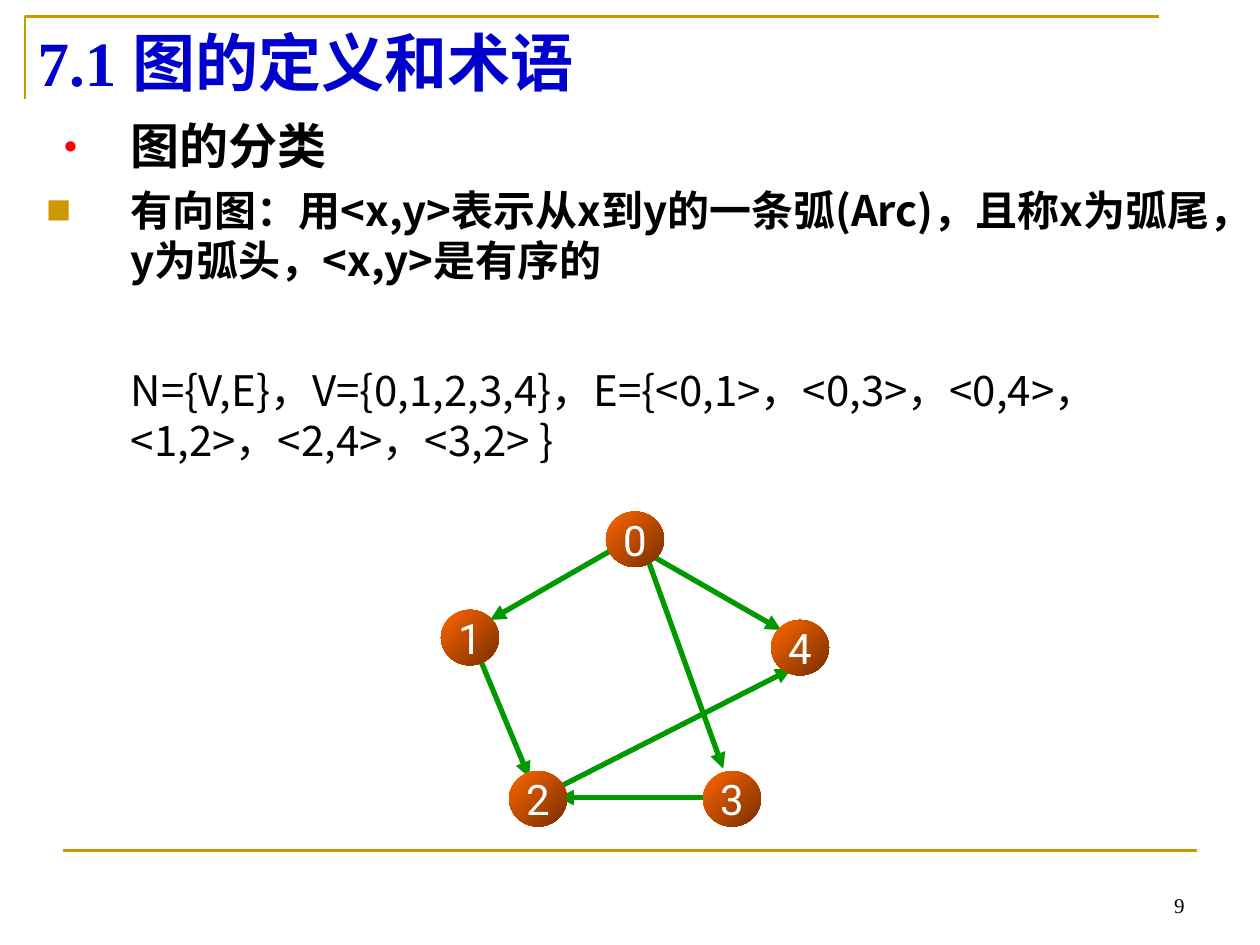
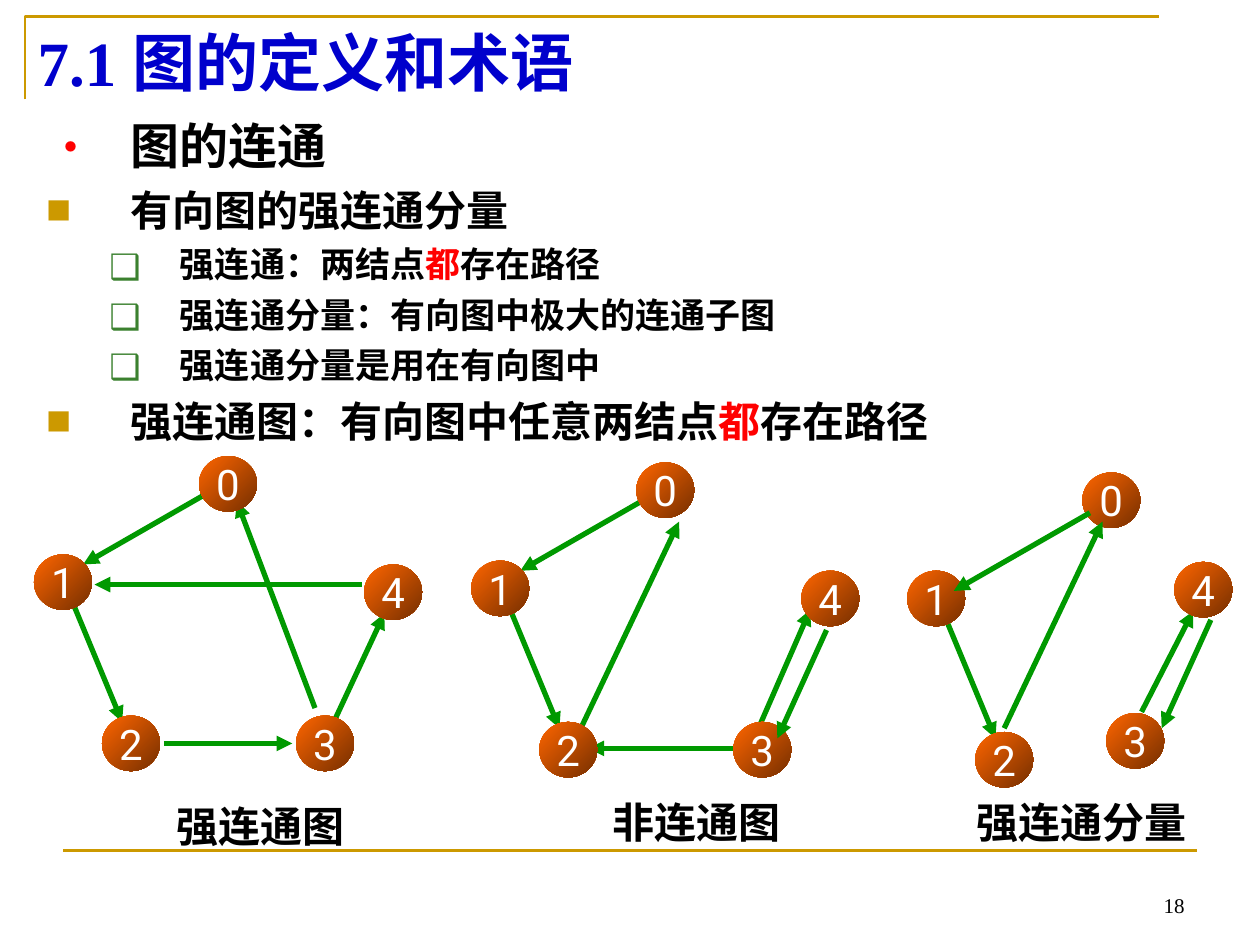
"""Build two slides on graph types and graph connectivity."""
from lxml.etree import SubElement as Sub
from pptx import Presentation
from pptx.dml.color import RGBColor
from pptx.enum.shapes import MSO_CONNECTOR as Link, MSO_SHAPE as Kind
from pptx.enum.text import MSO_ANCHOR as Anchor, PP_ALIGN as Align
from pptx.oxml.ns import qn
from pptx.util import Inches, Pt

hue = RGBColor.from_string
GOLD, GREEN, BLACK, RED = "CC9900", "009900", "000000", "FF0000"
CJK, ROMAN, SANS = "Noto Sans CJK SC", "Times New Roman", "Roboto"
TITLE = "7.1 图的定义和术语"
SIZE = 0.46, 0.44

# Kinds: size, left margin, indent, space before, bullet, bullet colour, bullet size, bold
HEAD = 28, 0.67, -0.67, 7, "•", RED, 100, True
ITEM = 24, 0.67, -0.67, 6, "■", GOLD, 60, True
SUB = 20, 1.06, -0.56, 5, "❑", "3B812F", 100, True
SET = 24, 0.67, 0, 46, None, None, 0, False

SPOTS = {"1": (0, 0), "3": (2.08, 1.28), "2": (0.54, 1.28), "4": (2.62, 0.08), "0": (1.31, -0.78)}
PARTS = SPOTS | {"3": (1.58, 1.13), "4": (2.12, -0.07), "0": (1.39, -0.78)}
DOWN = 0.31, 0.39, 0.7, 1.33
LEFT = 1.47, -0.54, 0.39, 0.08
BACK = 2.08, 1.49, 0.93, 1.49

# Graphs: origin, node spots, arrows under the nodes, arrows over the nodes
ARCS = (3.5, 4.84, SPOTS, [DOWN, LEFT, BACK, (1.62, -0.46, 2.7, 0.16),
                           (1.62, -0.46, 2.24, 1.26), (0.93, 1.41, 2.78, 0.47)], [])
STRONG = (0.27, 4.4, SPOTS, [DOWN, LEFT, (2.6, 0.24, 0.48, 0.24), (2.23, 1.22, 1.61, -0.42),
                             (1.03, 1.5, 2.05, 1.5), (2.37, 1.35, 2.78, 0.47)], [])
WEAK = (3.74, 4.45, SPOTS, [DOWN, LEFT, BACK, (0.87, 1.33, 1.65, -0.31),
                            (2.28, 1.33, 2.69, 0.39)], [(2.82, 0.55, 2.43, 1.41)])
SPLIT = (7.2, 4.53, PARTS, [DOWN, (1.86, 1.12, 2.27, 0.32)],
         [(1.45, -0.46, 0.37, 0.16), (2.41, 0.39, 2.02, 1.25), (0.77, 1.25, 1.55, -0.39)])

PAGES = [
    ("9", [
        (HEAD, "图的分类"),
        (ITEM, "有向图：用<x,y>表示从x到y的一条弧(Arc)，且称x为弧尾，y为弧头，<x,y>是有序的"),
        (SET, "N={V,E}，V={0,1,2,3,4}，E={<0,1>，<0,3>，<0,4>，<1,2>，<2,4>，<3,2> }"),
    ], [ARCS], []),
    ("18", [
        (HEAD, "图的连通"),
        (ITEM, "有向图的强连通分量"),
        (SUB, "强连通：两结点|都|存在路径"),
        (SUB, "强连通分量：有向图中极大的连通子图"),
        (SUB, "强连通分量是用在有向图中"),
        (ITEM, "强连通图：有向图中任意两结点|都|存在路径"),
    ], [STRONG, WEAK, SPLIT],
        [("强连通图", 1.19, 6.3, 1.75), ("非连通图", 4.65, 6.27, 1.75), ("强连通分量", 7.52, 6.27, 2.12)]),
]


def style(run, size, face, tint, bold=False):
    """Set the look of one run."""
    font = run.font
    font.size, font.bold, font.name = Pt(size), bold, face
    font.color.rgb = hue(tint)
    Sub(font._element, qn("a:ea")).set("typeface", CJK)


def draw(slide, ends, tint, width, tip=False):
    """Draw a straight line, with an arrowhead at its end if asked."""
    line = slide.shapes.add_connector(Link.STRAIGHT, *map(Inches, ends))
    line.line.color.rgb = hue(tint)
    line.line.width = Pt(width)
    if tip:
        Sub(line.line._get_or_add_ln(), qn("a:tailEnd")).set("type", "triangle")
    Sub(line._element.spPr, qn("a:effectLst"))


deck = Presentation()
deck.slide_width, deck.slide_height = Inches(10), Inches(7.5)

for page, body, graphs, names in PAGES:
    slide = deck.slides.add_slide(deck.slide_layouts[6])
    shapes = slide.shapes

    path = shapes.build_freeform(Inches(0.2), Inches(0.79))
    path.add_line_segments([(Inches(0.2), Inches(0.13)), (Inches(9.2), Inches(0.13))], close=False)
    frame = path.convert_to_shape()
    frame.shadow.inherit = False
    frame.fill.background()
    frame.line.color.rgb = hue(GOLD)
    frame.line.width = Pt(1.5)
    draw(slide, (0.5, 6.75, 9.5, 6.75), GOLD, 1.5)

    labels = [
        (page, 7.17, 6.83, 2.33, 0.5, Anchor.BOTTOM, Align.RIGHT, 12, ROMAN, BLACK, False),
        (TITLE, 0.2, 0.13, 9, 0.71, Anchor.MIDDLE, Align.LEFT, 36, ROMAN, "0000CC", True),
    ]
    for name, x, y, w in names:
        labels.append((name, x, y, w, 0.5, Anchor.MIDDLE, Align.CENTER, 24, SANS, BLACK, True))
    for text, x, y, w, h, anchor, align, size, face, tint, bold in labels:
        tf = shapes.add_textbox(*map(Inches, (x, y, w, h))).text_frame
        tf.word_wrap = True
        tf.vertical_anchor = anchor
        tf.text = text
        para = tf.paragraphs[0]
        para.alignment = align
        style(para.runs[0], size, face, tint, bold)

    tf = shapes.add_textbox(*map(Inches, (0.27, 0.87, 9.45, 3.23))).text_frame
    tf.word_wrap = True
    for i, (kind, text) in enumerate(body):
        size, left, indent, gap, mark, tint, scale, bold = kind
        para = tf.add_paragraph() if i else tf.paragraphs[0]
        para.level = 1 if kind is SUB else 0
        para.line_spacing = Pt(size * 1.19)
        para.space_before = Pt(gap if i else 0)
        props = para._p.get_or_add_pPr()
        props.set("marL", str(Inches(left)))
        props.set("indent", str(Inches(indent)))
        if mark:
            Sub(Sub(props, qn("a:buClr")), qn("a:srgbClr")).set("val", tint)
            Sub(props, qn("a:buSzPct")).set("val", str(scale * 1000))
            Sub(props, qn("a:buFont")).set("typeface", CJK)
            Sub(props, qn("a:buChar")).set("char", mark)
        for j, part in enumerate(text.split("|")):
            run = para.add_run()
            run.text = part
            style(run, size, CJK, RED if j == 1 else BLACK, bold)

    for x, y, spots, under, over in graphs:
        for a, b, c, d in under:
            draw(slide, (x + a, y + b, x + c, y + d), GREEN, 3, True)
        for name, (dx, dy) in spots.items():
            node = shapes.add_shape(Kind.OVAL, *map(Inches, (x + dx, y + dy, *SIZE)))
            node.shadow.inherit = False
            node.line.fill.background()
            node.fill.gradient()
            node.fill.gradient_angle = 315
            for stop, tint in zip(node.fill.gradient_stops, ("FF6600", "762F00")):
                stop.color.rgb = hue(tint)
            tf = node.text_frame
            tf.margin_left = tf.margin_right = 0
            tf.word_wrap = False
            tf.vertical_anchor = Anchor.MIDDLE
            tf.text = name
            tf.paragraphs[0].alignment = Align.CENTER
            style(tf.paragraphs[0].runs[0], 24, SANS, "FFFFFF")
        for a, b, c, d in over:
            draw(slide, (x + a, y + b, x + c, y + d), GREEN, 3, True)

deck.save("out.pptx")
